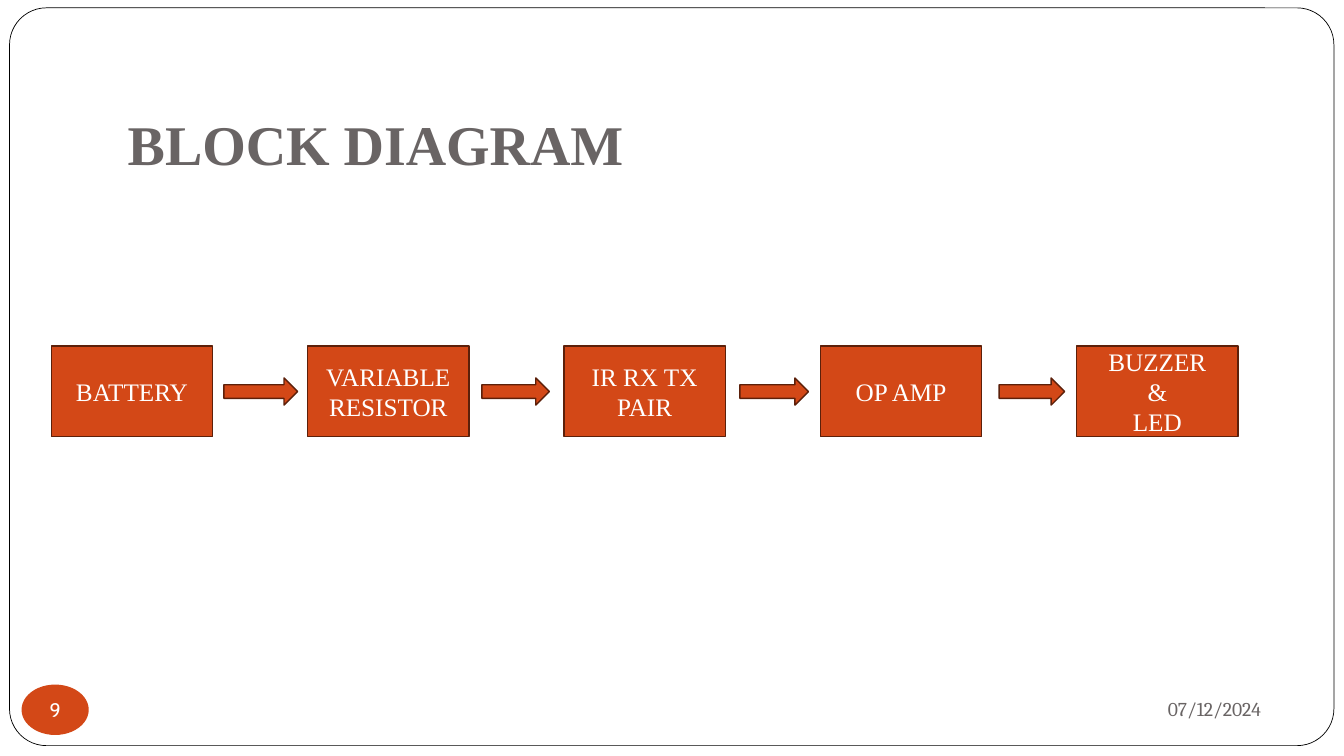
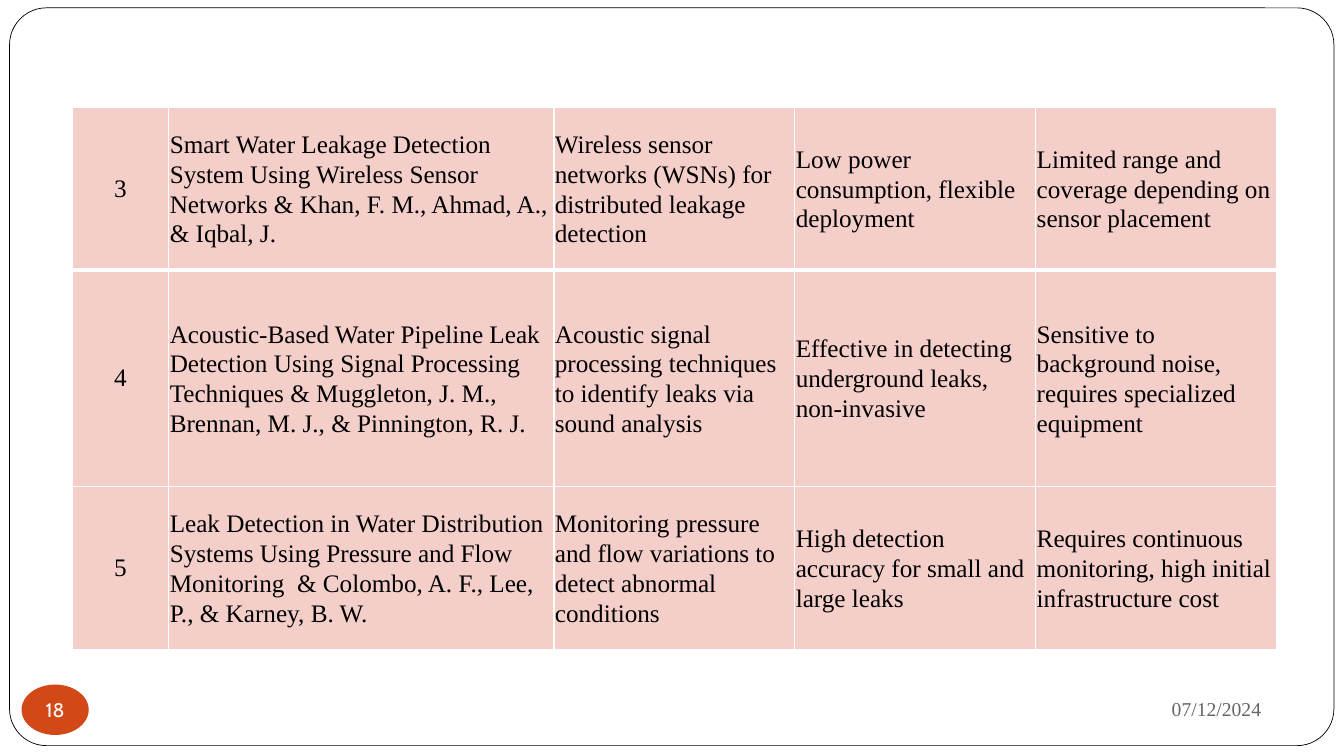
from dataclasses import dataclass

from lxml import etree
from pptx import Presentation
from pptx import util as u
from pptx.dml.color import RGBColor
from pptx.enum import shapes, text
from pptx.oxml import ns
from pptx.shapes.autoshape import Shape
from pptx.slide import Slide
from pptx.table import _Cell
from pptx.text.text import TextFrame

COLOURS = {
    "white": "FFFFFF",
    "black": "000000",
    "grey": "696464",
    "orange": "D34817",
    "brown": "5C200A",
    "pink": "F4CEC9",
}
SERIF = "Times New Roman"
DATE = "07/12/2024"
LEFT, CENTRE, RIGHT = text.PP_ALIGN.LEFT, text.PP_ALIGN.CENTER, text.PP_ALIGN.RIGHT
MIDDLE, BOTTOM = text.MSO_ANCHOR.MIDDLE, text.MSO_ANCHOR.BOTTOM


@dataclass(frozen=True)
class Box:
    left: float
    top: float
    width: float
    height: float

    def lengths(self) -> tuple[u.Pt, u.Pt, u.Pt, u.Pt]:
        return u.Pt(self.left), u.Pt(self.top), u.Pt(self.width), u.Pt(self.height)


@dataclass(frozen=True)
class Style:
    size: float
    colour: str
    font: str = SERIF
    bold: bool = False
    align: text.PP_ALIGN = LEFT
    line_spacing: float = 1.0
    space_after: float = 0


@dataclass(frozen=True)
class Arrow:
    left: float
    width: float


@dataclass(frozen=True)
class Study:
    number: str
    title: str
    method: str
    strength: str
    limit: str

    def cells(self) -> list[str]:
        return [self.number, self.title, self.method, self.strength, self.limit]


FRAME = Box(6.8, 5.6, 946, 527)
TITLE = Box(84.2, 43.2, 815.8, 90)
DATE_BOX = Box(648, 487.4, 260, 37.4)
BADGE = Box(15.4, 489, 48, 36)

TITLE_STYLE = Style(40, "grey", bold=True)
BADGE_STYLE = Style(14, "white", "Cabin", align=CENTRE)
BLOCK_STYLE = Style(18, "white", align=CENTRE)
NUMBER_STYLE = Style(18, "black", align=CENTRE)
CELL_STYLE = Style(18, "black", line_spacing=1.07, space_after=8)

BLOCKS = [
    ["BATTERY"],
    ["VARIABLE", "RESISTOR"],
    ["IR RX TX PAIR"],
    ["OP AMP"],
    ["BUZZER", "&", "LED"],
]
FIRST_BLOCK = Box(36.7, 247, 115.2, 65)
BLOCK_STEP = 183.1
ARROWS = [Arrow(160, 52.6), Arrow(344.2, 48.2), Arrow(528.5, 49), Arrow(713.7, 46.8)]
ARROW_TOP, ARROW_HEIGHT = 270, 19.4

TABLE = Box(51.4, 76.7, 860.6, 387)
COLUMN_WIDTHS = [69.2, 275.1, 172.1, 172.1, 172.1]
ROW_HEIGHTS = [116, 155, 116]
STUDIES = [
    Study(
        "3",
        "Smart Water Leakage Detection System Using Wireless Sensor Networks & Khan, F. M., Ahmad, A., & Iqbal, J.",
        "Wireless sensor networks (WSNs) for distributed leakage detection",
        "Low power consumption, flexible deployment",
        "Limited range and coverage depending on sensor placement",
    ),
    Study(
        "4",
        "Acoustic-Based Water Pipeline Leak Detection Using Signal Processing Techniques & Muggleton, J. M., Brennan, M. J., & Pinnington, R. J.",
        "Acoustic signal processing techniques to identify leaks via sound analysis",
        "Effective in detecting underground leaks, non-invasive",
        "Sensitive to background noise, requires specialized equipment",
    ),
    Study(
        "5",
        "Leak Detection in Water Distribution Systems Using Pressure and Flow Monitoring  & Colombo, A. F., Lee, P., & Karney, B. W.",
        "Monitoring pressure and flow variations to detect abnormal conditions",
        "High detection accuracy for small and large leaks",
        "Requires continuous monitoring, high initial infrastructure cost",
    ),
]


def rgb(name: str) -> RGBColor:
    return RGBColor.from_string(COLOURS[name])


def write(frame: TextFrame, lines: list[str], style: Style) -> None:
    for index, line in enumerate(lines):
        paragraph = frame.add_paragraph() if index else frame.paragraphs[0]
        paragraph.alignment = style.align
        paragraph.line_spacing = style.line_spacing
        paragraph.space_after = u.Pt(style.space_after)
        run = paragraph.add_run()
        run.text = line
        run.font.size = u.Pt(style.size)
        run.font.name = style.font
        run.font.bold = style.bold
        run.font.color.rgb = rgb(style.colour)


def add_text(slide: Slide, box: Box, line: str, style: Style, anchor: text.MSO_ANCHOR) -> TextFrame:
    frame = slide.shapes.add_textbox(*box.lengths()).text_frame
    frame.word_wrap = True
    frame.vertical_anchor = anchor
    write(frame, [line], style)
    return frame


def add_shape(
    slide: Slide,
    kind: shapes.MSO_SHAPE,
    box: Box,
    fill: str,
    line: str | None = None,
    line_width: float = 1,
) -> Shape:
    shape = slide.shapes.add_shape(kind, *box.lengths())
    shape.shadow.inherit = False
    shape.fill.solid()
    shape.fill.fore_color.rgb = rgb(fill)
    if line:
        shape.line.color.rgb = rgb(line)
        shape.line.width = u.Pt(line_width)
    else:
        shape.line.fill.background()
    shape.text_frame.vertical_anchor = MIDDLE
    return shape


def add_base_slide(presentation: Presentation, number: str, date_font: str) -> Slide:
    slide = presentation.slides.add_slide(presentation.slide_layouts[6])
    frame = add_shape(slide, shapes.MSO_SHAPE.ROUNDED_RECTANGLE, FRAME, "white", "black", 0.5)
    frame.adjustments[0] = 0.05
    add_text(slide, DATE_BOX, DATE, Style(14, "grey", date_font, align=RIGHT), MIDDLE)
    badge = add_shape(slide, shapes.MSO_SHAPE.OVAL, BADGE, "orange").text_frame
    badge.margin_left = badge.margin_right = badge.margin_top = badge.margin_bottom = 0
    badge.word_wrap = False
    write(badge, [number], BADGE_STYLE)
    return slide


def add_block_diagram(slide: Slide) -> None:
    title = add_text(slide, TITLE, "BLOCK DIAGRAM", TITLE_STYLE, BOTTOM)
    title.margin_bottom = u.Pt(7.2)
    for index, lines in enumerate(BLOCKS):
        left = FIRST_BLOCK.left + index * BLOCK_STEP
        box = Box(left, FIRST_BLOCK.top, FIRST_BLOCK.width, FIRST_BLOCK.height)
        block = add_shape(slide, shapes.MSO_SHAPE.RECTANGLE, box, "orange", "brown")
        write(block.text_frame, lines, BLOCK_STYLE)
    for arrow in ARROWS:
        box = Box(arrow.left, ARROW_TOP, arrow.width, ARROW_HEIGHT)
        add_shape(slide, shapes.MSO_SHAPE.RIGHT_ARROW, box, "orange", "brown")


def set_borders(cell: _Cell, widths: dict[str, float]) -> None:
    properties = cell._tc.get_or_add_tcPr()
    for side, width in widths.items():
        line = etree.SubElement(properties, ns.qn(f"a:{side}"), w=str(u.Pt(width)))
        fill = etree.SubElement(line, ns.qn("a:solidFill"))
        etree.SubElement(fill, ns.qn("a:srgbClr"), val=COLOURS["white"])


def add_study_table(slide: Slide) -> None:
    size = len(STUDIES), len(COLUMN_WIDTHS)
    table = slide.shapes.add_table(*size, *TABLE.lengths()).table
    table.first_row = table.horz_banding = False
    for column, width in zip(table.columns, COLUMN_WIDTHS):
        column.width = u.Pt(width)
    for row_index, (study, height) in enumerate(zip(STUDIES, ROW_HEIGHTS)):
        table.rows[row_index].height = u.Pt(height)
        top = 3 if row_index == 1 else 1
        bottom = 3 if row_index == 0 else 1
        for column_index, content in enumerate(study.cells()):
            cell = table.cell(row_index, column_index)
            set_borders(cell, {"lnL": 1, "lnR": 1, "lnT": top, "lnB": bottom})
            cell.fill.solid()
            cell.fill.fore_color.rgb = rgb("pink")
            cell.vertical_anchor = MIDDLE
            cell.margin_left = cell.margin_right = u.Pt(0.7)
            cell.margin_top = cell.margin_bottom = u.Pt(0.7)
            write(cell.text_frame, [content], CELL_STYLE if column_index else NUMBER_STYLE)


def main() -> None:
    presentation = Presentation()
    presentation.slide_width = u.Pt(960)
    presentation.slide_height = u.Pt(540)
    add_block_diagram(add_base_slide(presentation, "9", "Cambria"))
    add_study_table(add_base_slide(presentation, "18", SERIF))
    presentation.save("out.pptx")


if __name__ == "__main__":
    main()
